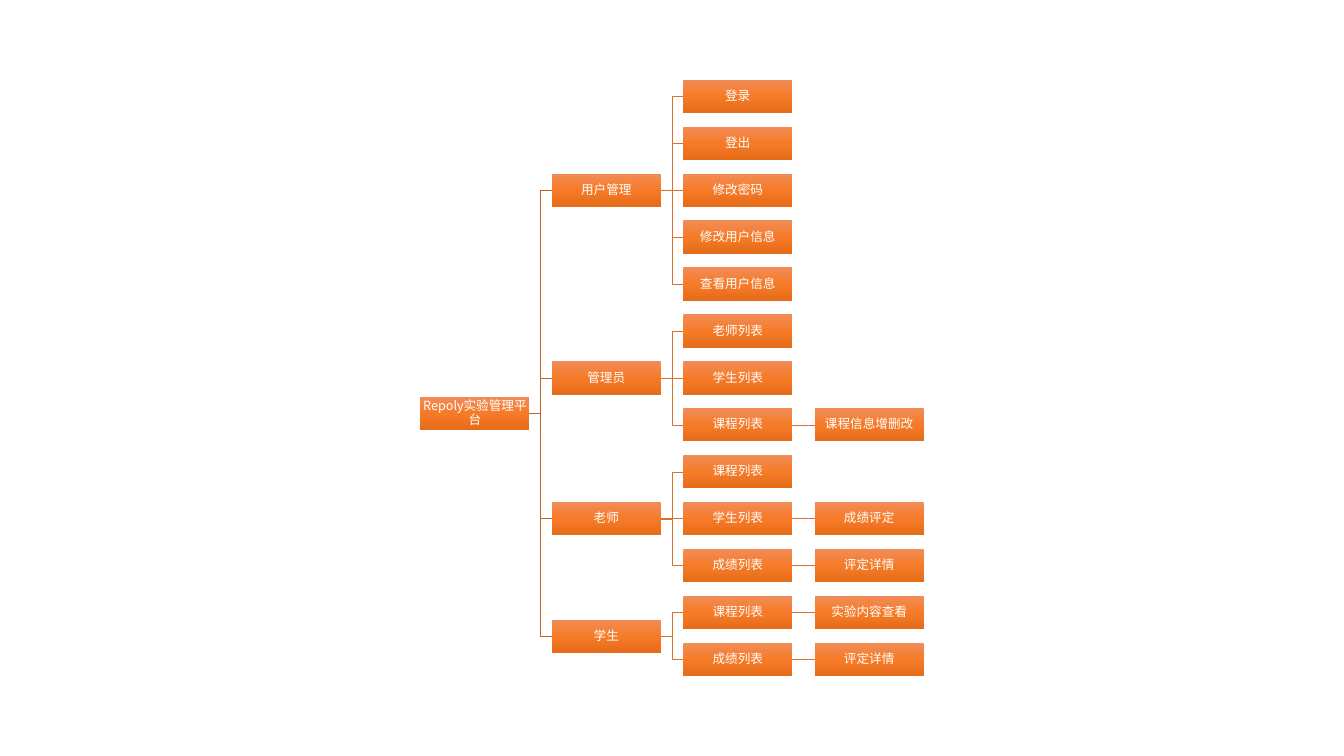
from copy import deepcopy
from itertools import count

from lxml.etree import SubElement
from pptx import Presentation
from pptx.dml.color import RGBColor
from pptx.enum.shapes import MSO_CONNECTOR as LINK, MSO_SHAPE as SHAPE
from pptx.enum.text import MSO_ANCHOR as ANCHOR, PP_ALIGN as ALIGN
from pptx.oxml.ns import qn
from pptx.util import Inches, Pt

FONT = "Noto Sans CJK SC"
WHITE = RGBColor(0xFF, 0xFF, 0xFF)
TRUNK = RGBColor(0xBE, 0x64, 0x27)
TWIG = RGBColor(0xD7, 0x71, 0x2C)
SHADES = [
    (0, RGBColor(0xF1, 0x8C, 0x57)),
    (0.5, RGBColor(0xF6, 0x7B, 0x28)),
    (1, RGBColor(0xE5, 0x6C, 0x19)),
]
BOX_W, BOX_H = 1.08, 0.33
LEVELS, ROWS = 4, 13

# Each node is a label and its children
TREE = ("Repoly实验管理平台", [
    ("用户管理", [
        ("登录", []),
        ("登出", []),
        ("修改密码", []),
        ("修改用户信息", []),
        ("查看用户信息", []),
    ]),
    ("管理员", [
        ("老师列表", []),
        ("学生列表", []),
        ("课程列表", [("课程信息增删改", [])]),
    ]),
    ("老师", [
        ("课程列表", []),
        ("学生列表", [("成绩评定", [])]),
        ("成绩列表", [("评定详情", [])]),
    ]),
    ("学生", [
        ("课程列表", [("实验内容查看", [])]),
        ("成绩列表", [("评定详情", [])]),
    ]),
])


def add_box(slide, label, left, mid):
    """Draw one labelled box, centred on the height mid."""
    box = slide.shapes.add_shape(
        SHAPE.RECTANGLE, Inches(left), Inches(mid - BOX_H / 2),
        Inches(BOX_W), Inches(BOX_H))
    box.shadow.inherit = False
    box.line.fill.background()

    # Three-stop gradient, top to bottom
    box.fill.gradient()
    box.fill.gradient_angle = 270
    stops = box._element.spPr.find(".//" + qn("a:gsLst"))
    stops.append(deepcopy(stops[0]))
    for stop, (pos, shade) in zip(box.fill.gradient_stops, SHADES):
        stop.position = pos
        stop.color.rgb = shade

    # Label
    frame = box.text_frame
    frame.text = label
    frame.word_wrap = True
    frame.vertical_anchor = ANCHOR.MIDDLE
    frame.margin_left = frame.margin_right = Inches(0.01)
    frame.margin_top = frame.margin_bottom = Inches(0.01)
    para = frame.paragraphs[0]
    para.alignment = ALIGN.CENTER
    para.line_spacing = 0.9
    font = para.runs[0].font
    font.name = FONT
    font.size = Pt(9)
    font.color.rgb = WHITE
    SubElement(font._element, qn("a:ea")).set("typeface", FONT)


def add_link(slide, left, start, right, end, color):
    """Join two boxes: a straight line if level, else an elbow."""
    x1, y1, x2, y2 = (Inches(v) for v in (left, start, right, end))
    if abs(start - end) < 0.01:
        link = slide.shapes.add_connector(LINK.STRAIGHT, x1, y1, x2, y1)
        SubElement(link._element.spPr, qn("a:effectLst"))
    else:
        bend = (x1 + x2) // 2
        path = slide.shapes.build_freeform(x1, y1)
        path.add_line_segments([(bend, y1), (bend, y2), (x2, y2)], close=False)
        link = path.convert_to_shape()
        link.fill.background()
        link.shadow.inherit = False
    link.line.color.rgb = color
    link.line.width = Pt(0.5)


def add_tree(slide, tree, left, top, width, height):
    """Fill the given area with the tree, leaves on even rows."""
    step = (width - BOX_W) / (LEVELS - 1)
    pitch = (height - BOX_H) / (ROWS - 1)
    rows = count()

    def grow(node, level):
        label, kids = node
        x = left + level * step
        mids = [grow(kid, level + 1) for kid in kids]
        if mids:
            mid = (mids[0] + mids[-1]) / 2
        else:
            mid = top + BOX_H / 2 + next(rows) * pitch
        for end in mids:
            add_link(slide, x + BOX_W, mid, x + step, end,
                     TWIG if level else TRUNK)
        add_box(slide, label, x, mid)
        return mid

    grow(tree, 0)


def main():
    deck = Presentation()
    deck.slide_width = Inches(13.33)
    deck.slide_height = Inches(7.5)
    slide = deck.slides.add_slide(deck.slide_layouts[6])
    add_tree(slide, TREE, 4.17, 0.79, 4.99, 5.92)
    deck.save("out.pptx")


if __name__ == "__main__":
    main()
